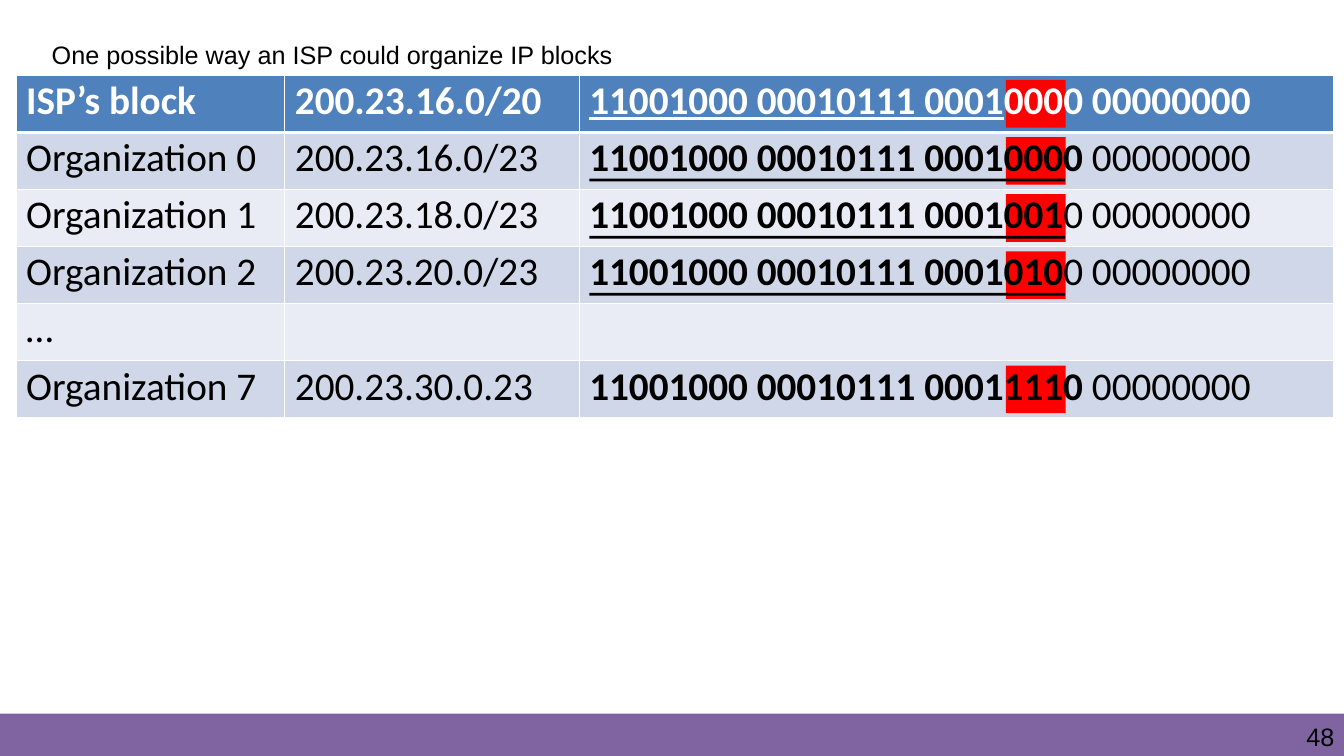
from dataclasses import dataclass

from lxml import etree
from pptx import Presentation
from pptx import util as u
from pptx.dml.color import RGBColor
from pptx.enum import shapes, text
from pptx.oxml.ns import qn

PX = 6096
WHITE = RGBColor(0xFF, 0xFF, 0xFF)
BLACK = RGBColor(0, 0, 0)
RED = RGBColor(0xFF, 0, 0)
PURPLE = RGBColor(0x80, 0x63, 0xA1)
HEADER = RGBColor(0x4F, 0x81, 0xBC)
BANDS = RGBColor(0xE9, 0xEC, 0xF4), RGBColor(0xD0, 0xD7, 0xE8)
NO_STYLE = "{2D5ABB26-0587-4C30-8999-92F81FD0307C}"

LEFT, TOP, ROW_H = 24, 112, 85
COLS = 400, 438, 1122
BITS_X = LEFT + COLS[0] + COLS[1]
PAD_X, PAD_Y = 15, 3


@dataclass
class Block:
    owner: str
    prefix: str = ""
    lead: str = ""
    rest: str = ""
    ruled: bool = False


BLOCKS = [
    Block("ISP’s block", "200.23.16.0/20", "11001000 00010111 0001", "0000 00000000"),
    Block("Organization 0", "200.23.16.0/23", "11001000 00010111 00010000", " 00000000", True),
    Block("Organization 1", "200.23.18.0/23", "11001000 00010111 0001001", "0 00000000", True),
    Block("Organization 2", "200.23.20.0/23", "11001000 00010111 0001010", "0 00000000", True),
    Block("…"),
    Block("Organization 7", "200.23.30.0.23", "11001000 00010111 00011110", " 00000000"),
]


def px(n: int) -> u.Emu:
    return u.Emu(n * PX)


def add_rect(s, x: int, y: int, w: int, h: int, color: RGBColor) -> None:
    sp = s.shapes.add_shape(shapes.MSO_SHAPE.RECTANGLE, px(x), px(y), px(w), px(h))
    sp.shadow.inherit = False
    sp.fill.solid()
    sp.fill.fore_color.rgb = color
    sp.line.fill.background()


def row_color(i: int) -> RGBColor:
    return BANDS[i % 2] if i else HEADER


def add_backdrop(s, i: int, block: Block) -> None:
    y = TOP + i * ROW_H
    add_rect(s, BITS_X, y, COLS[2], ROW_H, row_color(i))
    add_rect(s, 1497, y + 7, 89, 71, RED)
    if block.ruled:
        add_rect(s, BITS_X + PAD_X, y + 69, 708, 4, BLACK)


def set_borders(cell, i: int) -> None:
    tc_pr = cell._tc.get_or_add_tcPr()
    widths = {"lnL": 1, "lnR": 1, "lnT": 3 if i == 1 else 1, "lnB": 1 if i else 3}
    for side, width in widths.items():
        ln = etree.SubElement(tc_pr, qn(f"a:{side}"), w=str(u.Pt(width)))
        fill = etree.SubElement(ln, qn("a:solidFill"))
        etree.SubElement(fill, qn("a:srgbClr"), val=str(WHITE))


def style_font(font, name: str, size: int, color: RGBColor) -> None:
    font.name, font.size = name, u.Pt(size)
    font.color.rgb = color


def fill_cell(cell, i: int, runs: list[str], on_backdrop: bool) -> None:
    set_borders(cell, i)
    if on_backdrop:
        cell.fill.background()
    else:
        cell.fill.solid()
        cell.fill.fore_color.rgb = row_color(i)
    cell.margin_left, cell.margin_top = px(PAD_X), px(PAD_Y)
    cell.margin_right = cell.margin_bottom = 0
    p = cell.text_frame.paragraphs[0]
    style_font(p.font, "Calibri", 28, BLACK if i else WHITE)
    p.font.bold = i == 0
    for value in filter(None, runs):
        r = p.add_run()
        r.text = value
        style_font(r.font, "Calibri", 28, BLACK if i else WHITE)
        r.font.bold = i == 0
    if on_backdrop:
        lead = p.runs[0].font
        lead.bold = True
        lead.underline = i == 0


def add_block_table(s) -> None:
    gf = s.shapes.add_table(len(BLOCKS), len(COLS), px(LEFT), px(TOP),
                            px(sum(COLS)), px(ROW_H * len(BLOCKS)))
    table = gf.table
    table.first_row = table.horz_banding = False
    for style in gf.element.iter(qn("a:tableStyleId")):
        style.text = NO_STYLE
    for col, width in zip(table.columns, COLS):
        col.width = px(width)
    for i, block in enumerate(BLOCKS):
        table.rows[i].height = px(ROW_H)
        contents = [block.owner], [block.prefix], [block.lead, block.rest]
        for j, runs in enumerate(contents):
            fill_cell(table.cell(i, j), i, runs, j == 2 and bool(block.lead))


def set_label(sp, value: str, x: int, y: int, w: int, h: int) -> None:
    sp.left, sp.top, sp.width, sp.height = px(x), px(y), px(w), px(h)
    tf = sp.text_frame
    tf.word_wrap = True
    tf.auto_size = text.MSO_AUTO_SIZE.NONE
    tf.vertical_anchor = text.MSO_ANCHOR.TOP
    tf.margin_left = tf.margin_top = tf.margin_right = tf.margin_bottom = 0
    p = tf.paragraphs[0]
    p.text = value
    p.alignment = text.PP_ALIGN.LEFT
    style_font(p.font, "Arial", 18, BLACK)


def main() -> None:
    prs = Presentation()
    prs.slide_width, prs.slide_height = px(2000), px(1125)
    s = prs.slides.add_slide(prs.slide_layouts[5])
    set_label(s.shapes.title, "One possible way an ISP could organize IP blocks", 77, 58, 860, 46)
    add_rect(s, 0, 1062, 2000, 63, PURPLE)
    for i, block in enumerate(BLOCKS):
        if block.lead:
            add_backdrop(s, i, block)
    add_block_table(s)
    set_label(s.shapes.add_textbox(0, 0, 0, 0), "48", 1944, 1074, 50, 46)
    prs.save("out.pptx")


if __name__ == "__main__":
    main()
